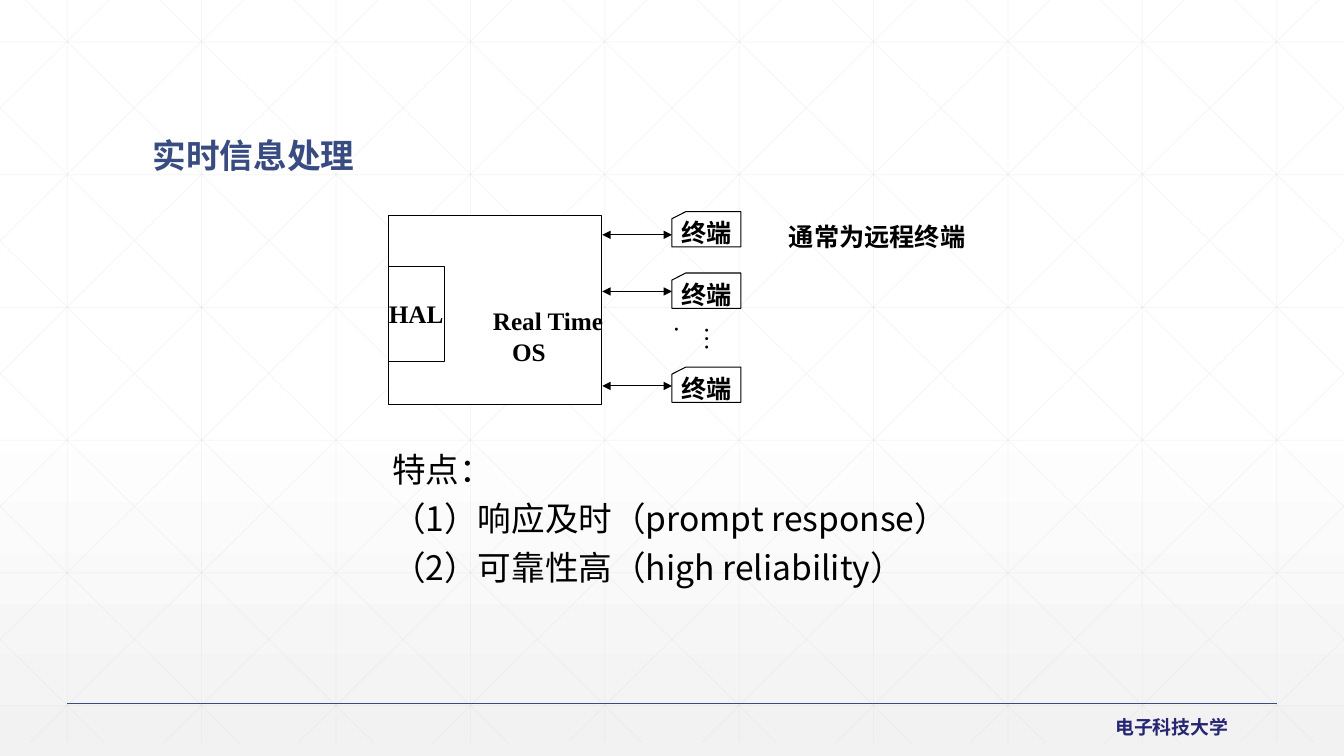
from lxml.etree import SubElement
from pptx import Presentation
from pptx.dml.color import RGBColor
from pptx.enum.shapes import MSO_CONNECTOR, MSO_SHAPE
from pptx.enum.text import MSO_ANCHOR, PP_ALIGN
from pptx.oxml.ns import qn
from pptx.util import Inches, Pt

COLUMNS, ROWS = 160, 90
SANS, SERIF = "Noto Sans CJK SC", "Times New Roman"
BLACK, WHITE, BLUE, NAVY, GREY = "000000", "FFFFFF", "384C81", "262673", "D9D9D9"


def color(value):
    return RGBColor.from_string(value)


class Canvas:
    """Draws on one slide, with lengths in grid columns and rows."""

    def __init__(self, deck):
        self.slide = deck.slides.add_slide(deck.slide_layouts[6])
        self.column = deck.slide_width / COLUMNS
        self.row = deck.slide_height / ROWS

    def place(self, x, y):
        return round(x * self.column), round(y * self.row)

    def background(self, top, bottom, start):
        fill = self.slide.background.fill
        fill.gradient()
        fill.gradient_angle = 270
        for stop, position, value in zip(fill.gradient_stops, (start, 1), (top, bottom)):
            stop.position = position
            stop.color.rgb = color(value)

    def line(self, x1, y1, x2, y2, value=BLACK, width=0.75, opacity=None, arrows=False):
        line = self.slide.shapes.add_connector(
            MSO_CONNECTOR.STRAIGHT, *self.place(x1, y1), *self.place(x2, y2))
        line.line.color.rgb = color(value)
        line.line.width = Pt(width)
        properties = line._element.spPr
        outline = properties.find(qn("a:ln"))
        if opacity:
            paint = outline.find(".//" + qn("a:srgbClr"))
            SubElement(paint, qn("a:alpha"), val=str(opacity * 1000))
        if arrows:
            for end in ("a:headEnd", "a:tailEnd"):
                SubElement(outline, qn(end), type="triangle")
        SubElement(properties, qn("a:effectLst"))

    def fill_text(self, box, paragraphs, size, font, value=BLACK, bold=False,
                  wrap=True, align=PP_ALIGN.LEFT, gap=0):
        frame = box.text_frame
        frame.word_wrap = wrap
        frame.text = "\n".join(paragraphs)
        for index, para in enumerate(frame.paragraphs):
            para.alignment = align
            if index:
                para.space_before = Pt(gap)
            for span in para.runs:
                span.font.size = Pt(size)
                span.font.name = font
                span.font.bold = bold
                span.font.color.rgb = color(value)
                SubElement(span._r.get_or_add_rPr(), qn("a:ea"), typeface=SANS)

    def text(self, x, y, width, height, *paragraphs, **style):
        box = self.slide.shapes.add_textbox(*self.place(x, y), *self.place(width, height))
        self.fill_text(box, paragraphs, **style)
        return box

    def block(self, kind, x, y, width, height, label=None):
        block = self.slide.shapes.add_shape(
            kind, *self.place(x, y), *self.place(width, height))
        block.shadow.inherit = False
        block.fill.solid()
        block.fill.fore_color.rgb = color(WHITE)
        block.line.color.rgb = color(BLACK)
        block.line.width = Pt(0.75)
        if label:
            self.fill_text(block, [label], 18, SERIF, bold=True, wrap=False,
                           align=PP_ALIGN.CENTER)
            block.text_frame.vertical_anchor = MSO_ANCHOR.MIDDLE


def draw_lattice(canvas):
    bottom, run, pitch = 88.45, 89.5, 16
    faint = {"value": GREY, "width": 0.5, "opacity": 25}
    for index in range(10):
        x = 8 + index * pitch
        canvas.line(x, 0, x, bottom, **faint)
    for index in range(6):
        y = 5 + index * 15.8
        canvas.line(0, y, COLUMNS, y, **faint)
    # Diagonals, cut at the slide's edges and mirrored
    for index in range(-5, 10):
        start = 3 + index * pitch
        left, right = max(start, 0), min(start + run, COLUMNS)
        top, low = ((x - start) * bottom / run for x in (left, right))
        canvas.line(left, top, right, low, **faint)
        canvas.line(COLUMNS - left, top, COLUMNS - right, low, **faint)


def main():
    deck = Presentation()
    deck.slide_width, deck.slide_height = Inches(13.333), Inches(7.5)
    canvas = Canvas(deck)

    # Background and footer
    canvas.background(WHITE, "F2F2F2", 0.53)
    draw_lattice(canvas)
    canvas.line(8, 83.75, 152, 83.75, BLUE, 1)
    canvas.text(131.6, 84.6, 16.1, 4, "电子科技大学", size=13.5, font=SANS,
                value=NAVY, bold=True, wrap=False)

    # Title
    title = canvas.text(17, 16, 80.8, 9.2, "实时信息处理", size=24, font=SANS,
                        value=BLUE, bold=True)
    title.text_frame.paragraphs[0].line_spacing = 0.9

    # Real-time system
    label = {"size": 18, "font": SERIF, "bold": True}
    canvas.block(MSO_SHAPE.RECTANGLE, 46.2, 25.7, 25.4, 22.5)
    canvas.block(MSO_SHAPE.RECTANGLE, 46.2, 31.7, 6.7, 11.3, "HAL")
    system = canvas.text(57.5, 35.8, 16.6, 8.5, "Real Time OS", **label)
    hanging = system.text_frame.paragraphs[0]._p.get_or_add_pPr()
    hanging.set("marL", str(Inches(0.19)))
    hanging.set("indent", str(-Inches(0.19)))

    # Terminals and their links
    for link_y, card_y in ((27.95, 25.2), (34.7, 32.5), (45.95, 43.7)):
        canvas.line(71.7, link_y, 80, link_y, arrows=True)
        canvas.block(MSO_SHAPE.FLOWCHART_CARD, 80, card_y, 8.2, 4.2, "终端")
    dots = canvas.text(81.6, 37.7, 6, 5.3, "….", size=18, font=SERIF)
    dots.text_frame._txBody.bodyPr.set("vert", "eaVert")
    canvas.text(92.75, 25.7, 24.7, 4.8, "通常为远程终端", **label)

    # Features
    canvas.text(45.5, 52.9, 85.1, 20.6, "特点：", "（1）响应及时（prompt response）",
                "（2）可靠性高（high reliability）", size=24, font=SANS, gap=6)

    deck.save("out.pptx")


if __name__ == "__main__":
    main()
